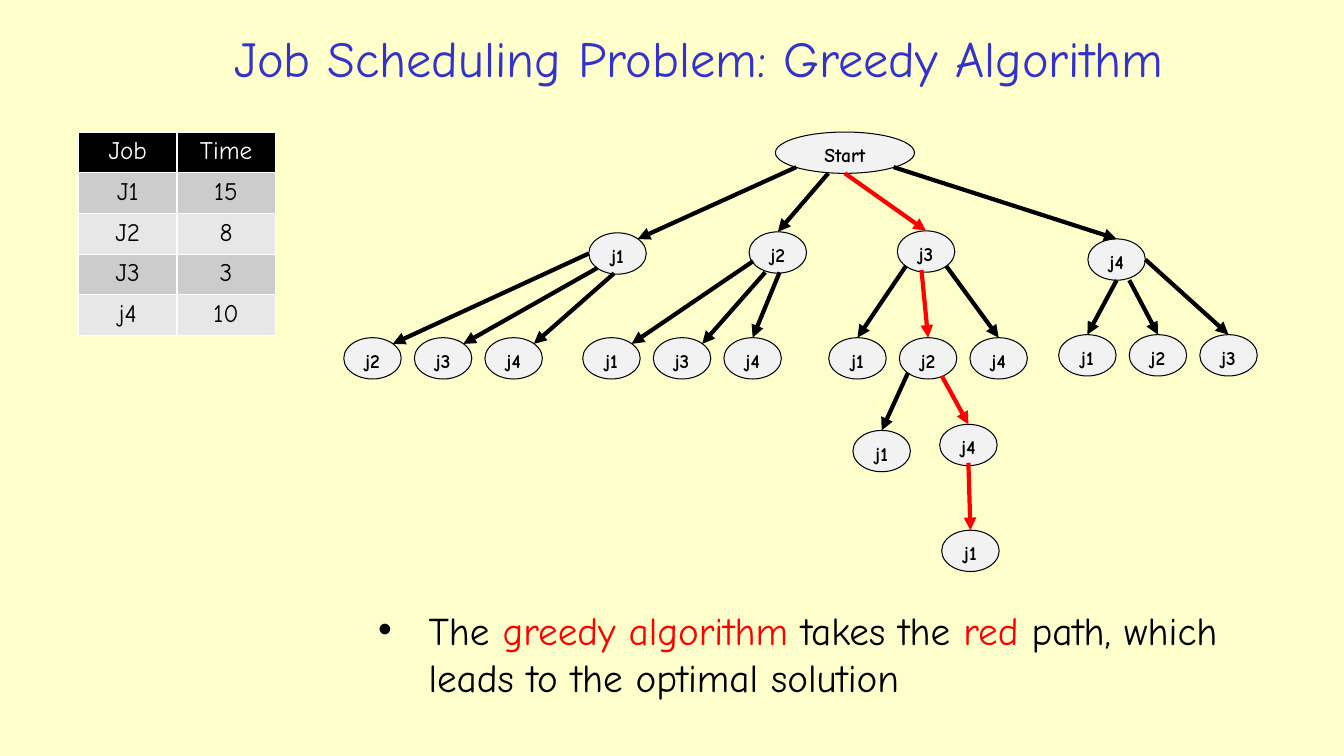
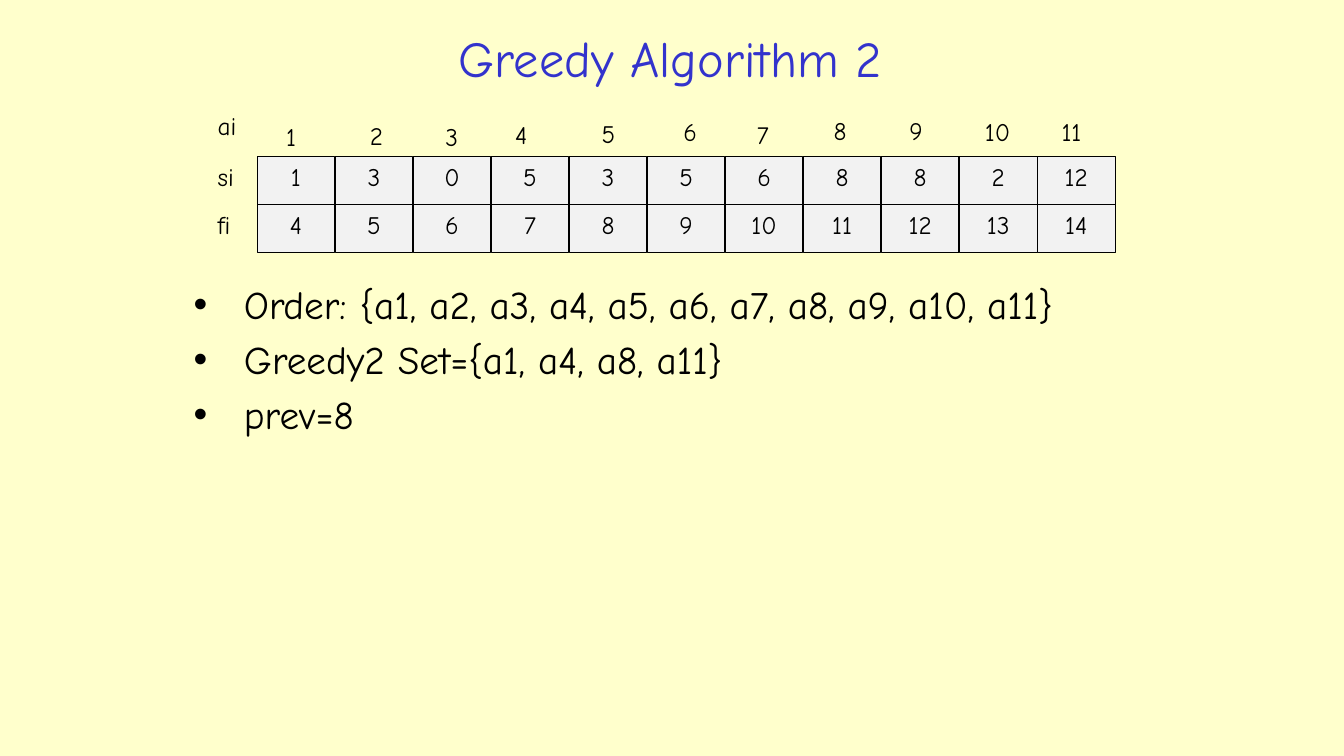
from dataclasses import dataclass

from lxml.etree import SubElement
from pptx import Presentation
from pptx.dml.color import RGBColor as RGB
from pptx.enum.shapes import MSO_CONNECTOR as Link, MSO_SHAPE as Shape
from pptx.enum.text import MSO_ANCHOR as Anchor, MSO_AUTO_SIZE as Fit, PP_ALIGN as Align
from pptx.oxml.ns import qn
from pptx.util import Inches, Pt


@dataclass(frozen=True)
class Theme:
    font: str = "Comic Neue"
    back: str = "FFFFCC"
    title: str = "3333CC"
    ink: str = "000000"
    hot: str = "FF0000"
    pale: str = "F2F2F2"
    white: str = "FFFFFF"
    bands: tuple = ("E7E7E7", "CCCCCC")
    head_pt: int = 36
    body_pt: int = 28
    cell_pt: int = 18
    node_pt: int = 14
    thin: float = 0.75
    thick: float = 3


def put(item, values):
    for name, value in values.items():
        setattr(item, name, value)


def paint(fill, color):
    fill.solid()
    fill.fore_color.rgb = RGB.from_string(color)


class Deck:
    def __init__(self, theme):
        self.theme = theme
        self.prs = Presentation()
        put(self.prs, {"slide_width": Inches(13.33), "slide_height": Inches(7.5)})
        paint(self.prs.slide_master.background.fill, theme.back)
        self.slide = None

    def page(self, title, x, width):
        self.slide = self.prs.slides.add_slide(self.prs.slide_layouts[1])
        head = self.slide.shapes.title
        self.place(head, (x, 0.19, width, 0.76))
        self.frame(head, {"vertical_anchor": Anchor.MIDDLE, "auto_size": Fit.NONE})
        self.say(head.text_frame.paragraphs[0], [(title, self.theme.title)],
                 self.theme.head_pt, Align.CENTER)

    def place(self, shape, box):
        put(shape, dict(zip(("left", "top", "width", "height"), map(Inches, box))))

    def frame(self, shape, values):
        put(shape.text_frame, values)

    def say(self, para, runs, size, align=None, bold=False):
        """Add runs, each a pair of text and colour, to a paragraph."""
        para.alignment = align
        for text, color in runs:
            run = para.add_run()
            run.text = text
            put(run.font, {"name": self.theme.font, "size": Pt(size), "bold": bold})
            run.font.color.rgb = RGB.from_string(color)

    def bullets(self, box, items):
        body = self.slide.placeholders[1]
        self.place(body, box)
        self.frame(body, {"auto_size": Fit.NONE, "vertical_anchor": Anchor.TOP})
        for i, runs in enumerate(items):
            text = body.text_frame
            para = text.add_paragraph() if i else text.paragraphs[0]
            props = para._p.get_or_add_pPr()
            props.set("marL", str(Inches(0.56)))
            props.set("indent", str(Inches(-0.5)))
            self.say(para, runs, self.theme.body_pt)

    def block(self, kind, box, text, size, bold=False):
        """Draw a pale outlined shape with centred text."""
        shape = self.slide.shapes.add_shape(kind, *map(Inches, box))
        shape.shadow.inherit = False
        paint(shape.fill, self.theme.pale)
        paint(shape.line.fill, self.theme.ink)
        shape.line.width = Pt(self.theme.thin)
        self.frame(shape, {"vertical_anchor": Anchor.TOP, "word_wrap": False})
        self.say(shape.text_frame.paragraphs[0], [(text, self.theme.ink)],
                 size, Align.CENTER, bold)

    def node(self, box, text):
        self.block(Shape.OVAL, box, text, self.theme.node_pt, True)

    def cell(self, box, text):
        self.block(Shape.RECTANGLE, box, text, self.theme.cell_pt)

    def label(self, x, y, width, text):
        box = self.slide.shapes.add_textbox(*map(Inches, (x, y, width, 0.4)))
        self.frame(box, {"word_wrap": False, "auto_size": Fit.SHAPE_TO_FIT_TEXT})
        self.say(box.text_frame.paragraphs[0], [(text, self.theme.ink)],
                 self.theme.cell_pt)

    def arrow(self, start, end, color):
        line = self.slide.shapes.add_connector(
            Link.STRAIGHT, *map(Inches, (*start, *end)))
        paint(line.line.fill, color)
        line.line.width = Pt(self.theme.thick)
        SubElement(line.line._ln, qn("a:tailEnd"), type="triangle")
        SubElement(line._element.spPr, qn("a:effectLst"))

    def table(self, box, rows):
        grid = self.slide.shapes.add_table(
            len(rows), len(rows[0]), *map(Inches, box)).table
        for r, row in enumerate(rows):
            for c, text in enumerate(row):
                cell = grid.cell(r, c)
                paint(cell.fill, self.theme.bands[r % 2] if r else self.theme.ink)
                color = self.theme.ink if r else self.theme.white
                self.say(cell.text_frame.paragraphs[0], [(text, color)],
                         self.theme.cell_pt, Align.CENTER)


# Points on an ellipse, as shares of its width and height
N, NE, E = (0.5, 0), (0.85, 0.15), (1, 0.5)
SE, S, SW, W = (0.85, 0.85), (0.5, 1), (0.15, 0.85), (0, 0.5)

# Parent, left and top of the first child, then each child's name, start and end
FANS = [
    ("", 5.84, 2.31, [("j1", SW, NE)]),
    ("", 7.43, 2.3, [("j2", (0.38, 1), N)]),
    ("", 8.9, 2.29, [("j3", S, N)]),
    ("", 10.79, 2.37, [("j4", SE, N)]),
    ("j1", 3.41, 3.35, [("j2", W, NE), ("j3", SW, NE), ("j4", (0.44, 0.98), NE)]),
    ("j2", 5.78, 3.35, [("j1", (0.07, 0.71), NE), ("j3", (0.28, 0.98), NE),
                        ("j4", (0.53, 0.98), N)]),
    ("j3", 8.22, 3.35, [("j1", SW, N), ("j2", (0.42, 0.95), N), ("j4", SE, N)]),
    ("j4", 10.5, 3.32, [("j1", S, N), ("j2", (0.72, 1), N), ("j3", E, N)]),
    ("j3j2", 8.46, 4.27, [("j1", SW, N)]),
    ("j3j2", 9.32, 4.21, [("j4", (0.74, 0.93), N)]),
    ("j3j2j4", 9.34, 5.26, [("j1", (0.5, 0.93), N)]),
]
BEST = "j3j2j4j1"


def spot(box, share):
    x, y, width, height = box
    return x + width * share[0], y + height * share[1]


def tree(deck):
    boxes = {"": (7.69, 1.31, 1.38, 0.41)}
    deck.node(boxes[""], "Start")
    for top, x, y, kids in FANS:
        for i, (name, start, end) in enumerate(kids):
            key = top + name
            box = boxes[key] = (x + 0.7 * i, y, 0.57, 0.41)
            deck.node(box, name)
            color = deck.theme.hot if BEST.startswith(key) else deck.theme.ink
            deck.arrow(spot(boxes[top], start), spot(box, end), color)


def jobs(deck):
    ink, hot = deck.theme.ink, deck.theme.hot
    deck.page("Job Scheduling Problem: Greedy Algorithm", 1.14, 11.58)
    deck.table((0.78, 1.31, 1.95, 2.02),
               [("Job", "Time"), ("J1", "15"), ("J2", "8"), ("J3", "3"), ("j4", "10")])
    tree(deck)
    deck.bullets((3.59, 5.96, 9.26, 1.22), [[
        ("The ", ink), ("greedy algorithm ", hot), ("takes the ", ink), ("red ", hot),
        ("path, which leads to the optimal solution", ink)]])


def greedy(deck):
    deck.page("Greedy Algorithm 2", 1.76, 9.78)
    starts = (1, 3, 0, 5, 3, 5, 6, 8, 8, 2, 12)
    for r, row in enumerate((starts, range(4, 15))):
        for c, value in enumerate(row):
            deck.cell((2.55 + 7.74 * c / 10, 1.55 + 0.48 * r, 0.77, 0.48), str(value))
    for text, y in (("ai", 1.05), ("si", 1.55), ("fi", 2.03)):
        deck.label(2.06, y, 0.4, text)
    marks = [(2.74, 1.15), (3.57, 1.14), (4.32, 1.15), (5.01, 1.13), (5.87, 1.12),
             (6.68, 1.1), (7.41, 1.13), (8.17, 1.09), (8.92, 1.09), (9.67, 1.1),
             (10.43, 1.11)]
    for i, (x, y) in enumerate(marks, 1):
        deck.label(x, y, 0.36 if i < 10 else 0.45, str(i))
    lines = ("Order: {a1, a2, a3, a4, a5, a6, a7, a8, a9, a10, a11}",
             "Greedy2 Set={a1, a4, a8, a11}", "prev=8")
    deck.bullets((1.76, 2.73, 9.74, 2.26), [[(s, deck.theme.ink)] for s in lines])


def main():
    deck = Deck(Theme())
    jobs(deck)
    greedy(deck)
    deck.prs.save("out.pptx")


if __name__ == "__main__":
    main()
